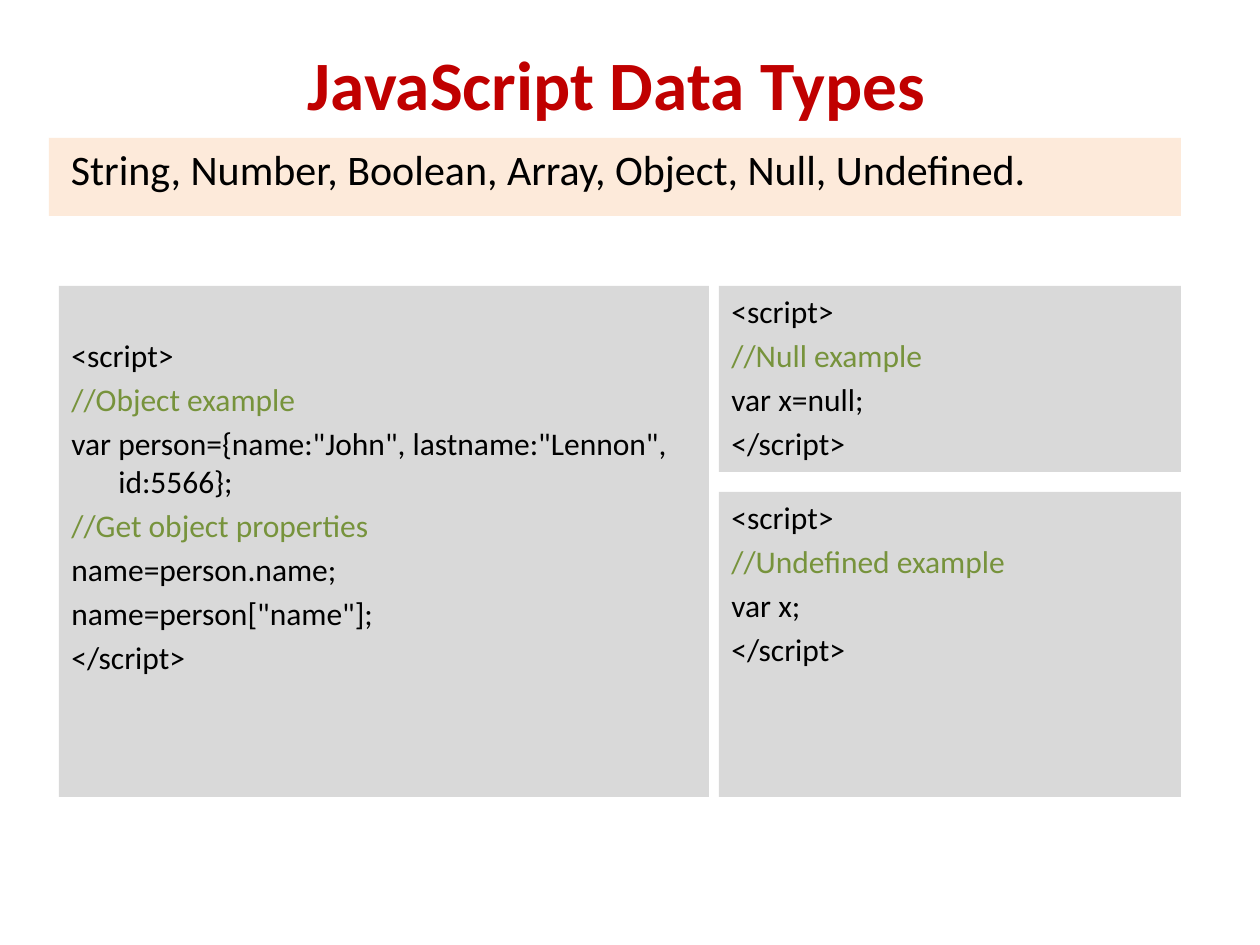
from pptx import Presentation
from pptx.dml.color import RGBColor as RGB
from pptx.enum.shapes import MSO_SHAPE as Shape
from pptx.enum.text import MSO_ANCHOR as Anchor, PP_ALIGN as Align
from pptx.util import Pt

PX = 914400 / 126
HUES = {"title": "C00000", "peach": "FDEADA", "grey": "D9D9D9",
        "text": "000000", "note": "77933C"}


def px(n):
    return round(n * PX)


def add_run(para, text, size, hue):
    run = para.add_run()
    run.text = text
    run.font.name = "Calibri"
    run.font.size = Pt(size)
    run.font.color.rgb = RGB.from_string(HUES[hue])
    return run


deck = Presentation()
deck.slide_width, deck.slide_height = px(1260), px(945)
slide = deck.slides.add_slide(deck.slide_layouts[6])

# Title
box = slide.shapes.add_textbox(px(59), px(29), px(1134), px(98))
frame = box.text_frame
frame.word_wrap = True
frame.vertical_anchor = Anchor.MIDDLE
frame.margin_top, frame.margin_bottom = px(12), px(2)
frame.margin_right = px(31)
para = frame.paragraphs[0]
para.alignment = Align.CENTER
add_run(para, "JavaScript Data Types", 39.6, "title").font.bold = True

# Panels: place, fill, text size, top margin, lines
panels = [
    ((49, 138, 1132, 78), "peach", 24, 6,
     [" String, Number, Boolean, Array, Object, Null, Undefined."]),
    ((719, 286, 462, 186), "grey", 18, 6,
     ["<script>", "//Null example", "var x=null;", "</script>"]),
    ((59, 286, 650, 511), "grey", 18, 50,
     ["<script>", "//Object example",
      'var person={name:"John", lastname:"Lennon", id:5566};',
      "//Get object properties", "name=person.name;",
      'name=person["name"];', "</script>"]),
    ((719, 492, 462, 305), "grey", 18, 6,
     ["<script>", "//Undefined example", "var x;", "</script>"]),
]
for place, fill, size, top, lines in panels:
    panel = slide.shapes.add_shape(Shape.RECTANGLE, *map(px, place))
    panel.shadow.inherit = False
    panel.fill.solid()
    panel.fill.fore_color.rgb = RGB.from_string(HUES[fill])
    panel.line.fill.background()
    frame = panel.text_frame
    frame.word_wrap = True
    frame.vertical_anchor = Anchor.TOP
    frame.margin_top = px(top)
    for i, line in enumerate(lines):
        para = frame.add_paragraph() if i else frame.paragraphs[0]
        para.alignment = Align.LEFT
        para.space_before = Pt(size * 0.2)
        props = para._p.get_or_add_pPr()
        props.set("marL", str(px(47)))
        props.set("indent", str(px(-47)))
        add_run(para, line, size, "note" if line.startswith("//") else "text")

deck.save("out.pptx")
